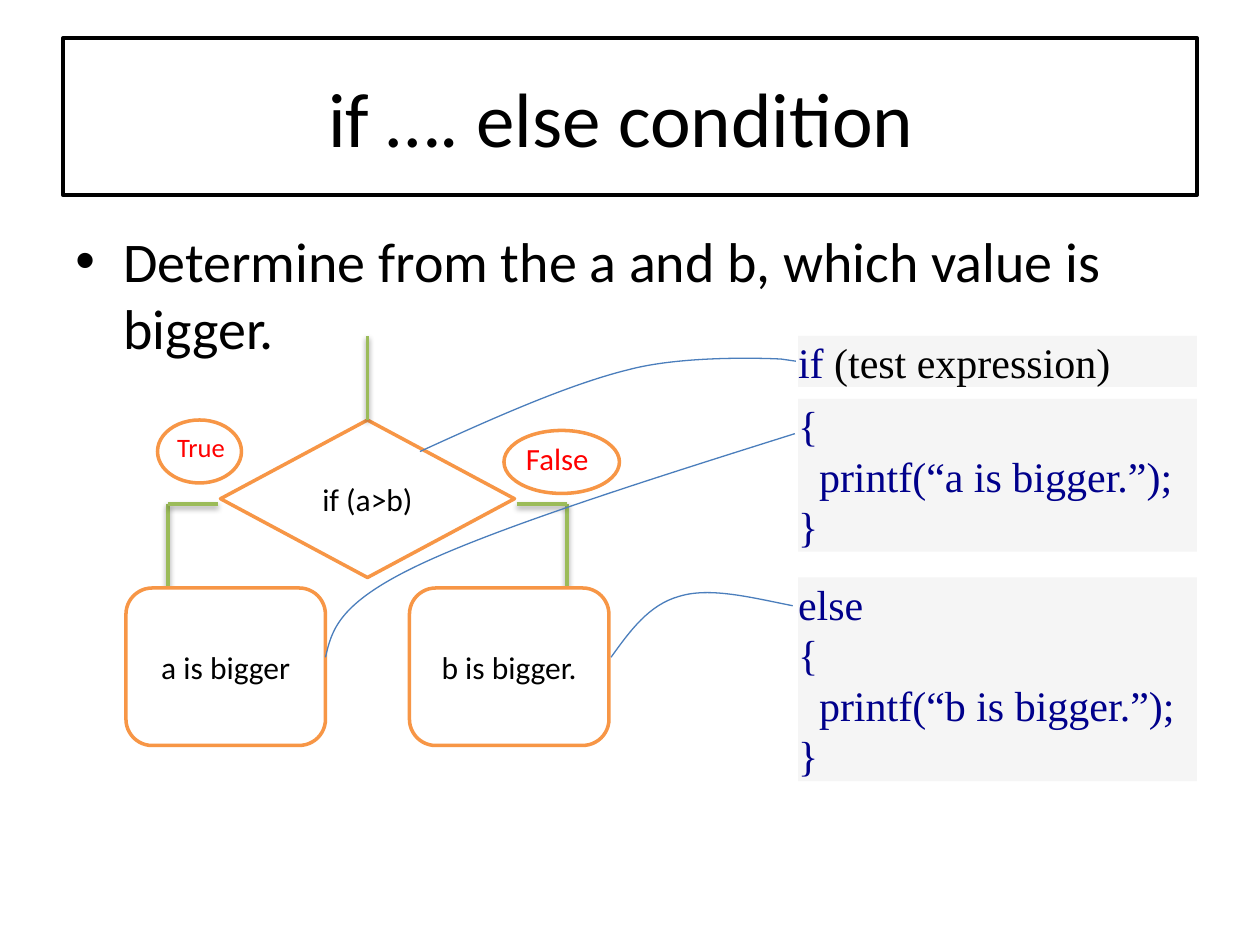
import itertools

import lxml.etree
import pptx
import pptx.dml.color
import pptx.enum.shapes
import pptx.enum.text
import pptx.oxml
import pptx.oxml.ns
import pptx.util

SHAPES = pptx.enum.shapes.MSO_SHAPE
ALIGN = pptx.enum.text.PP_ALIGN
BLACK, WHITE, RED, NAVY = "000000", "FFFFFF", "FF0000", "00008B"
ORANGE, GREEN, BLUE, GREY = "F79646", "9BBB59", "4B7EBC", "F5F5F5"
SHADOW = (
    '<a:effectLst xmlns:a="http://schemas.openxmlformats.org/drawingml/2006/main">'
    '<a:outerShdw blurRad="40000" dist="20000" dir="5400000" rotWithShape="0">'
    '<a:srgbClr val="000000"><a:alpha val="38000"/></a:srgbClr>'
    "</a:outerShdw></a:effectLst>"
)


def color(value):
    return pptx.dml.color.RGBColor.from_string(value)


class SlideBuilder:
    columns, rows = 120, 90
    body_font, code_font = "Calibri", "Times New Roman"
    body_size, label_size, code_size = 32, 18, 24
    outline_width, curve_width = 2, 0.75
    code_line_rows = 4.85

    def __init__(self, presentation):
        self.cell_width = presentation.slide_width / self.columns
        self.cell_height = presentation.slide_height / self.rows
        self.slide = presentation.slides.add_slide(presentation.slide_layouts[6])

    def point(self, column, row):
        return round(column * self.cell_width), round(row * self.cell_height)

    def box(self, column, row, width, height):
        return *self.point(column, row), *self.point(width, height)

    def style_run(self, run, size, font, text_color):
        run.font.size = pptx.util.Pt(size)
        run.font.name = font
        run.font.color.rgb = color(text_color)

    def shape(self, kind, area, text="", fill=WHITE, line=ORANGE, size=label_size):
        shape = self.slide.shapes.add_shape(kind, *self.box(*area))
        shape.shadow.inherit = False
        shape.fill.solid()
        shape.fill.fore_color.rgb = color(fill)
        if line:
            shape.line.color.rgb = color(line)
            shape.line.width = pptx.util.Pt(self.outline_width)
        else:
            shape.line.fill.background()
        if text:
            shape.text_frame.text = text
            paragraph = shape.text_frame.paragraphs[0]
            paragraph.alignment = ALIGN.CENTER
            self.style_run(paragraph.runs[0], size, self.body_font, BLACK)
        return shape

    def text(self, area, text, size, text_color, margin, hanging=0, spacing=None):
        shape = self.slide.shapes.add_textbox(*self.box(*area))
        shape.text_frame.word_wrap = True
        shape.text_frame.text = text
        paragraph = shape.text_frame.paragraphs[0]
        paragraph.space_before = pptx.util.Pt(size * 0.2)
        if spacing:
            paragraph.line_spacing = spacing
        self.style_run(paragraph.runs[0], size, self.body_font, text_color)
        properties = paragraph._p.get_or_add_pPr()
        properties.set("marL", str(pptx.util.Inches(margin)))
        properties.set("indent", str(-pptx.util.Inches(hanging)))
        if hanging:
            namespace = pptx.oxml.ns.qn
            lxml.etree.SubElement(properties, namespace("a:buFont"), typeface="Arial")
            lxml.etree.SubElement(properties, namespace("a:buChar"), char="•")

    def code(self, row, lines):
        area = (76, row, 38, len(lines) * self.code_line_rows)
        shape = self.shape(SHAPES.RECTANGLE, area, fill=GREY, line=None)
        frame = shape.text_frame
        frame.auto_size = pptx.enum.text.MSO_AUTO_SIZE.SHAPE_TO_FIT_TEXT
        frame.margin_left = frame.margin_right = frame.margin_top = frame.margin_bottom = 0
        frame.vertical_anchor = pptx.enum.text.MSO_ANCHOR.MIDDLE
        for index, parts in enumerate(lines):
            paragraph = frame.add_paragraph() if index else frame.paragraphs[0]
            paragraph.alignment = ALIGN.LEFT
            for text, text_color in zip(parts, (NAVY, BLACK)):
                run = paragraph.add_run()
                run.text = text
                self.style_run(run, self.code_size, self.code_font, text_color)
            if parts[0].startswith("printf"):
                paragraph._p.get_or_add_pPr().set("marL", str(pptx.util.Pt(12)))

    def flow_line(self, start, end):
        connector = self.slide.shapes.add_connector(
            pptx.enum.shapes.MSO_CONNECTOR.STRAIGHT, *self.point(*start), *self.point(*end)
        )
        connector.line.color.rgb = color(GREEN)
        connector.line.width = pptx.util.Pt(self.outline_width)
        connector._element.spPr.append(pptx.oxml.parse_xml(SHADOW))

    def curve(self, start, *points):
        builder = self.slide.shapes.build_freeform(*self.point(*start))
        builder.add_line_segments([self.point(*point) for point in points], close=False)
        shape = builder.convert_to_shape()
        shape.shadow.inherit = False
        shape.fill.background()
        shape.line.color.rgb = color(BLUE)
        shape.line.width = pptx.util.Pt(self.curve_width)
        segments = list(shape._element.iter(pptx.oxml.ns.qn("a:lnTo")))
        for first, second, third in zip(segments[::3], segments[1::3], segments[2::3]):
            bezier = lxml.etree.Element(pptx.oxml.ns.qn("a:cubicBezTo"))
            first.addprevious(bezier)
            for segment in (first, second, third):
                bezier.append(segment[0])
                segment.getparent().remove(segment)


def main():
    presentation = pptx.Presentation()
    presentation.slide_width = pptx.util.Inches(10)
    presentation.slide_height = pptx.util.Inches(7.5)
    builder = SlideBuilder(presentation)

    builder.shape(SHAPES.OVAL, (48, 41, 11, 6))
    builder.shape(SHAPES.OVAL, (15, 40, 8, 6))
    builder.shape(
        SHAPES.RECTANGLE, (6, 3.6, 108, 15), "if …. else condition ", line=BLACK, size=44
    )
    builder.text(
        (6, 21, 108, 14), "Determine from the a and b, which value is bigger.",
        builder.body_size, BLACK, margin=0.38, hanging=0.38,
    )

    builder.shape(SHAPES.FLOWCHART_DECISION, (21, 40, 28, 15), "if (a>b)")
    builder.flow_line((35, 40), (35, 32))
    for outer, inner in ((16, 20.8), (54, 49.2)):
        builder.flow_line((outer, 56), (outer, 48))
        builder.flow_line((inner, 48), (outer, 48))
    for column, text in ((12, "a is bigger"), (39, "b is bigger.")):
        builder.shape(SHAPES.ROUNDED_RECTANGLE, (column, 56, 19, 15), text)
    builder.text((14, 41, 9, 5), "True", 15.2, RED, margin=0.14, spacing=0.8)
    builder.text((47, 42, 11, 5), "False", 17.6, RED, margin=0.16, spacing=0.8)

    builder.curve(
        (40, 43), (47, 39.8), (54.2, 36.6), (59.9, 35.2),
        (65.6, 33.7), (74.4, 34.2), (74.4, 34.2), (75.8, 34.4),
    )
    builder.code(32, [("if", " (test expression)")])
    builder.code(38, [("{",), ("printf(“a is bigger.”);",), ("}",)])
    builder.code(55, [("else",), ("{",), ("printf(“b is bigger.”);",), ("}",)])
    builder.curve(
        (31, 62.6), (31.6, 60), (32.2, 57.5), (39.7, 53.9),
        (47.2, 50.3), (61.4, 45.8), (75.7, 41.3),
    )
    builder.curve(
        (58.2, 62.6), (60, 60.1), (61.8, 57.6), (64.7, 56.8),
        (67.6, 55.9), (71.5, 56.9), (75.5, 57.7),
    )
    presentation.save("out.pptx")


if __name__ == "__main__":
    main()
